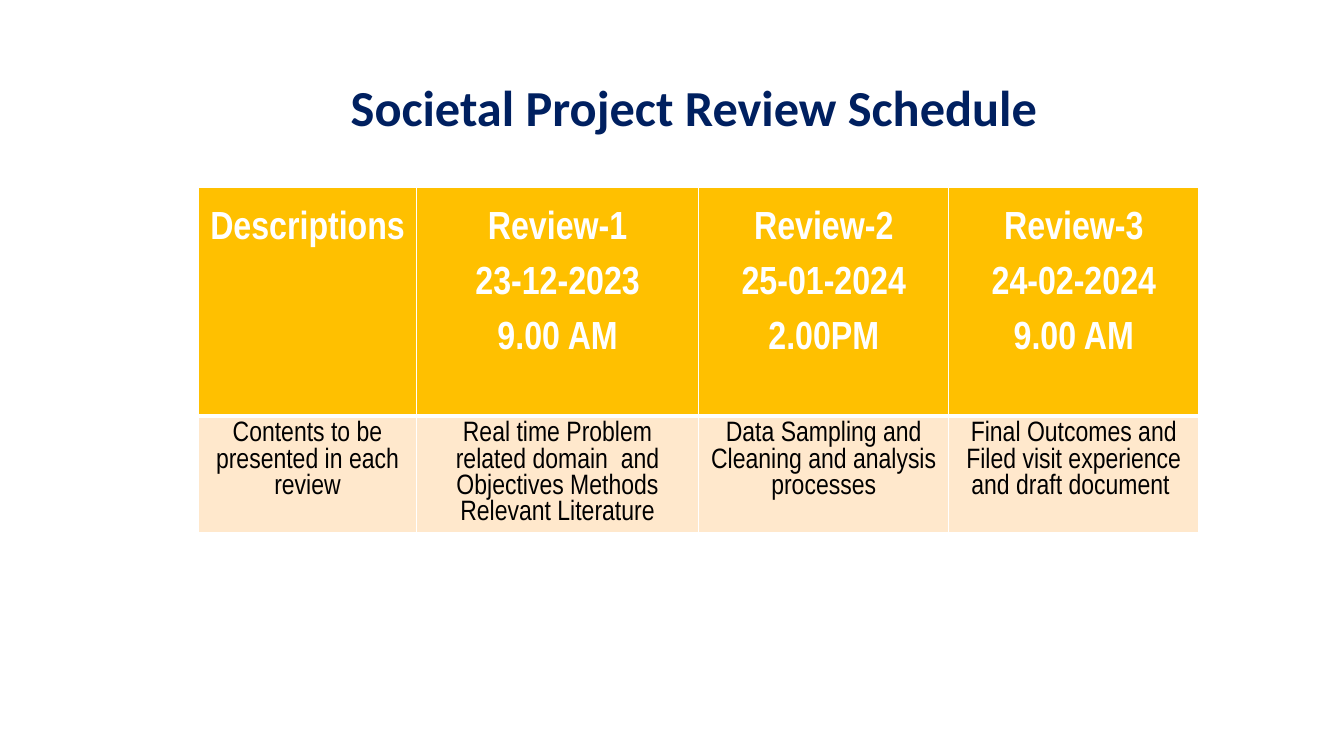
from lxml import etree
from pptx import Presentation
from pptx.dml.color import RGBColor
from pptx.enum import text
from pptx.oxml import ns
from pptx.util import Inches, Pt

COLORS = {"title": "002060", "header": "FFC000", "body": "FFE8CC",
          "white": "FFFFFF", "black": "000000"}
COLUMN_WIDTHS = [2.16, 2.8, 2.48, 2.48]
ROW_HEIGHTS = [2.27, 1.15]
SCHEDULE = [
    ["Descriptions",
     "Review-1\n23-12-2023\n9.00 AM",
     "Review-2\n25-01-2024\n2.00PM",
     "Review-3\n24-02-2024\n9.00 AM"],
    ["Contents to be presented in each review",
     "Real time Problem related domain  and Objectives Methods Relevant Literature",
     "Data Sampling and Cleaning and analysis processes",
     "Final Outcomes and Filed visit experience and draft document "],
]
HEADER_FORMAT = dict(size=28, color="white", bold=True, spacing=1.5)
BODY_FORMAT = dict(size=20, color="black")


def write_text(frame, content, *, size, color, font="Arial Narrow", bold=False,
               align=text.PP_ALIGN.CENTER, spacing=None):
    """Write one paragraph for each line of content."""
    for index, line in enumerate(content.split("\n")):
        para = frame.paragraphs[0] if index == 0 else frame.add_paragraph()
        para.alignment = align
        if spacing:
            para.line_spacing = spacing
        span = para.add_run()
        span.text = line
        span.font.name = font
        span.font.size = Pt(size)
        span.font.bold = bold
        span.font.color.rgb = RGBColor.from_string(COLORS[color])


def set_borders(cell, color, **widths):
    """Draw cell edges; widths in points are given as L, R, T, B in that order."""
    properties = cell._tc.get_or_add_tcPr()
    for index, (side, width) in enumerate(widths.items()):
        line = etree.Element(ns.qn(f"a:ln{side}"), w=str(Pt(width)))
        fill = etree.SubElement(line, ns.qn("a:solidFill"))
        etree.SubElement(fill, ns.qn("a:srgbClr"), val=COLORS[color])
        properties.insert(index, line)


def add_title(page, left, top, width, height):
    box = page.shapes.add_textbox(Inches(left), Inches(top), Inches(width), Inches(height))
    box.text_frame.word_wrap = False
    box.text_frame.auto_size = text.MSO_AUTO_SIZE.SHAPE_TO_FIT_TEXT
    write_text(box.text_frame, "Societal Project Review Schedule", size=36,
               color="title", font="Calibri", bold=True, align=text.PP_ALIGN.LEFT)


def add_schedule(page, left, top):
    table = page.shapes.add_table(
        len(ROW_HEIGHTS), len(COLUMN_WIDTHS), Inches(left), Inches(top),
        Inches(sum(COLUMN_WIDTHS)), Inches(sum(ROW_HEIGHTS))).table
    for column, width in zip(table.columns, COLUMN_WIDTHS):
        column.width = Inches(width)
    for row_index, (row, height) in enumerate(zip(table.rows, ROW_HEIGHTS)):
        row.height = Inches(height)
        is_header = row_index == 0
        for cell, content in zip(row.cells, SCHEDULE[row_index]):
            write_text(cell.text_frame, content,
                       **(HEADER_FORMAT if is_header else BODY_FORMAT))
            cell.fill.solid()
            cell.fill.fore_color.rgb = RGBColor.from_string(
                COLORS["header" if is_header else "body"])
            set_borders(cell, "white", L=1, R=1,
                        T=1 if is_header else 3, B=3 if is_header else 1)


def main():
    deck = Presentation()
    deck.slide_width, deck.slide_height = Inches(13.33), Inches(7.5)
    page = deck.slides.add_slide(deck.slide_layouts[6])
    add_schedule(page, 1.97, 1.86)
    add_title(page, 3.38, 0.71, 7.09, 0.71)
    deck.save("out.pptx")


if __name__ == "__main__":
    main()
